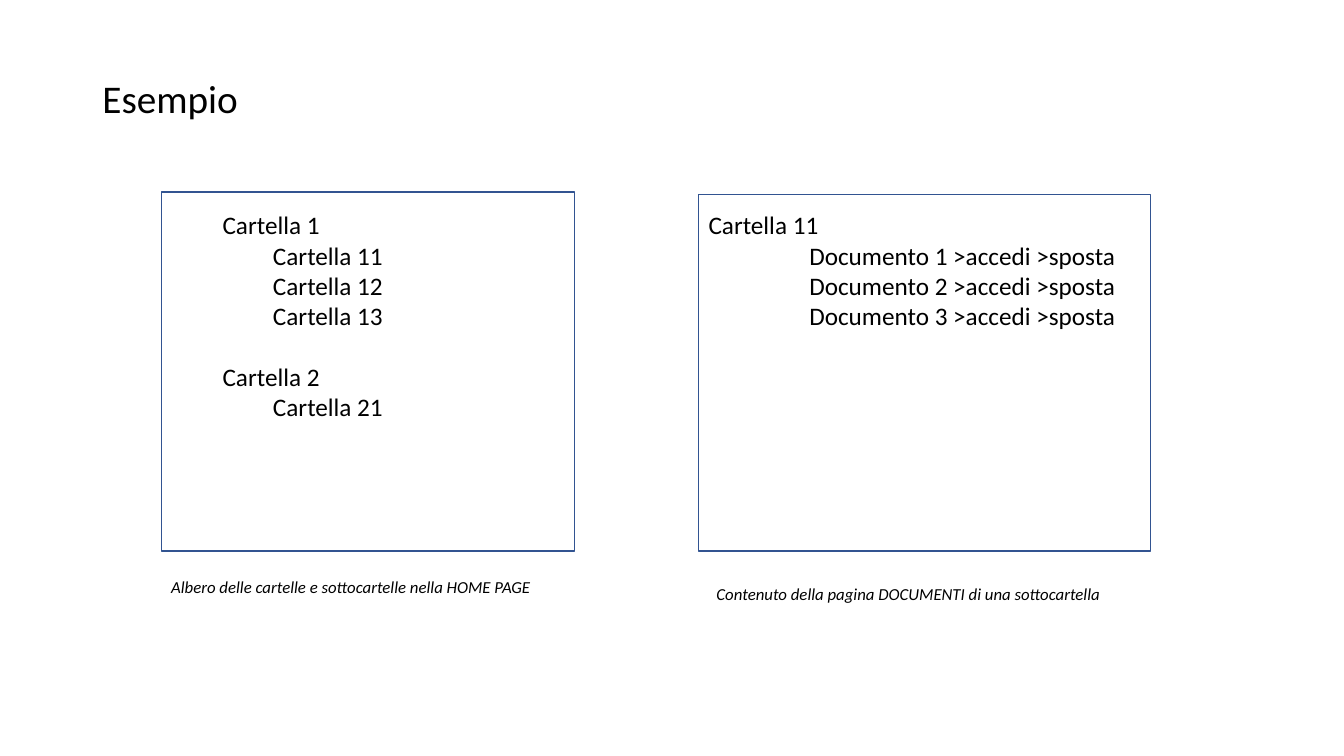
import pptx
import pptx.util
import pptx.dml.color
import pptx.enum.shapes
import pptx.enum.text

Pt = pptx.util.Pt
RGB = pptx.dml.color.RGBColor.from_string

THEME = {
    "font": "Calibri",
    "ink": RGB("000000"),
    "outline": RGB("325491"),
    "title": Pt(28),
    "body": Pt(18),
    "caption": Pt(12),
}


def write(frame, lines, size, italic=False, top_inset=3.6, line_spacing=None):
    frame.word_wrap = True
    frame.auto_size = pptx.enum.text.MSO_AUTO_SIZE.NONE
    frame.vertical_anchor = pptx.enum.text.MSO_ANCHOR.TOP
    frame.margin_top = Pt(top_inset)
    for index, (text, indent, gap) in enumerate(lines):
        line = frame.paragraphs[0] if index == 0 else frame.add_paragraph()
        line.alignment = pptx.enum.text.PP_ALIGN.LEFT
        line.space_before = Pt(gap)
        line.line_spacing = line_spacing
        if indent:
            properties = line._p.get_or_add_pPr()
            properties.set("marL", str(Pt(indent)))
            properties.set("indent", "0")
        run = line.add_run()
        run.text = text
        run.font.name = THEME["font"]
        run.font.size = size
        run.font.italic = italic
        run.font.color.rgb = THEME["ink"]


deck = pptx.Presentation()
deck.slide_width, deck.slide_height = Pt(960), Pt(540)
slide = deck.slides.add_slide(deck.slide_layouts[5])

heading = slide.shapes.title
heading.left, heading.top, heading.width, heading.height = map(Pt, (66, 53.3, 828, 433))
write(heading.text_frame, [("Esempio", 0, 0)], THEME["title"], line_spacing=0.9)

folder_tree = [
    ("Cartella 1", 72, 0),
    ("Cartella 11", 108, 0),
    ("Cartella 12", 108, 0),
    ("Cartella 13", 108, 0),
    ("Cartella 2", 72, 21.6),
    ("Cartella 21", 108, 0),
]
folder_documents = [("Cartella 11", 0, 0)] + [
    (f"Documento {number} >accedi >sposta", 72, 0) for number in (1, 2, 3)
]

panels = [
    (folder_tree, (79.9, 146.2, 330.5, 203.8), (115.2, 137.2, 295.2, 256.3),
     "Albero delle cartelle e sottocartelle nella HOME PAGE", (115.2, 402.5, 295.2, 65.5)),
    (folder_documents, (499, 146.2, 368.6, 138.2), (499, 139, 322.6, 254.5),
     "Contenuto della pagina DOCUMENTI di una sottocartella", (504.7, 407.5, 295.2, 87.1)),
]

for entries, entries_area, border_area, caption, caption_area in panels:
    listing = slide.shapes.add_textbox(*map(Pt, entries_area))
    write(listing.text_frame, entries, THEME["body"])

    border = slide.shapes.add_shape(
        pptx.enum.shapes.MSO_SHAPE.RECTANGLE, *map(Pt, border_area))
    border.shadow.inherit = False
    border.fill.background()
    border.line.color.rgb = THEME["outline"]
    border.line.width = Pt(1)

    legend = slide.shapes.add_textbox(*map(Pt, caption_area))
    write(legend.text_frame, [(caption, 0, 0)], THEME["caption"],
          italic=True, top_inset=9.3)

deck.save("out.pptx")
